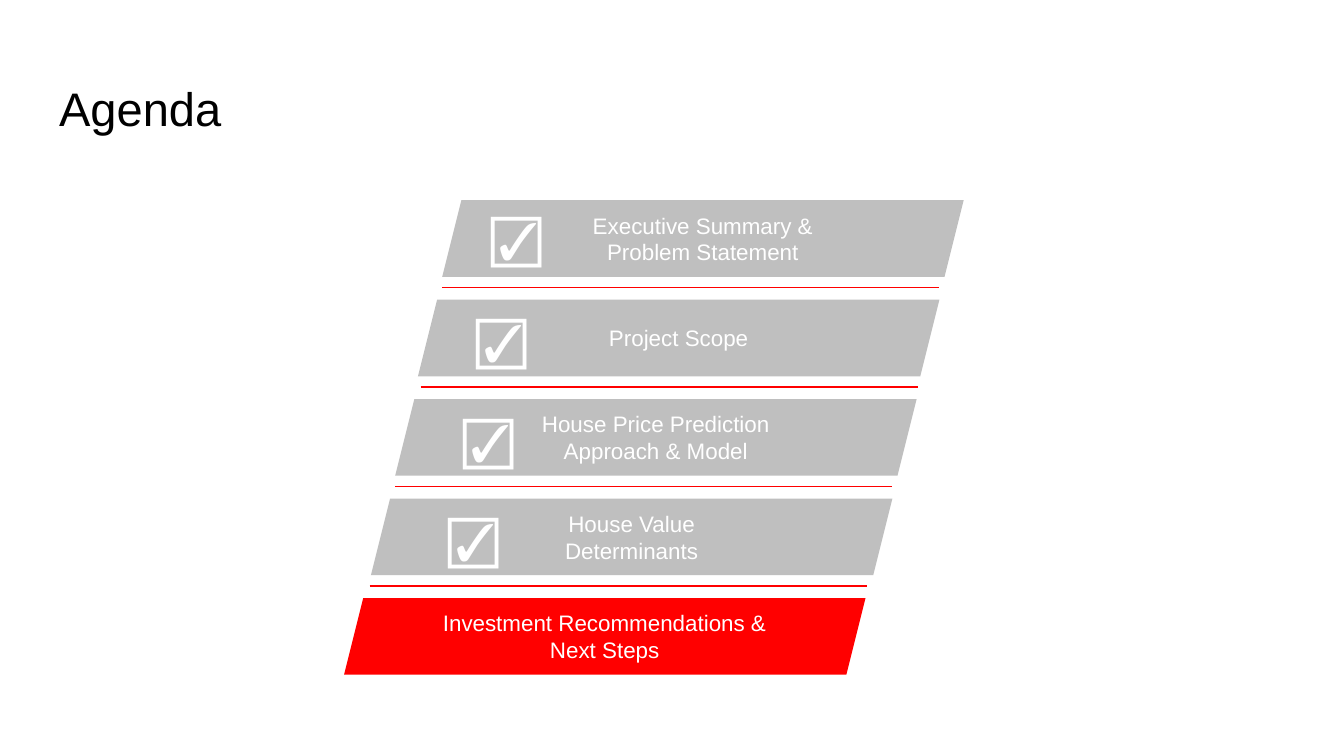
from pptx import Presentation
from pptx.dml.color import RGBColor
from pptx.enum.shapes import MSO_CONNECTOR, MSO_SHAPE
from pptx.enum.text import MSO_ANCHOR, MSO_AUTO_SIZE, PP_ALIGN
from pptx.oxml.ns import qn
from pptx.util import Inches, Pt
from lxml.etree import SubElement

BLACK = RGBColor(0x00, 0x00, 0x00)
WHITE = RGBColor(0xFF, 0xFF, 0xFF)
GREY = RGBColor(0xBF, 0xBF, 0xBF)
RED = RGBColor(0xFF, 0x00, 0x00)

FIRST_TOP, ROW_STEP = 1.49, 0.74
BAR_WIDTH, BAR_HEIGHT = 3.88, 0.57
DIVIDER_WIDTH, DIVIDER_OFFSET = 3.7, 0.65

# Topic, left of its bar, left of the divider below it, place of its check mark
AGENDA = [
    ("Executive Summary &\vProblem Statement", 3.29, 3.29, (3.55, 1.48)),
    ("Project Scope", 3.11, 3.13, (3.44, 2.24)),
    ("House Price Prediction\vApproach & Model", 2.94, 2.94, (3.34, 2.98)),
    ("House Value\vDeterminants", 2.76, 2.75, (3.23, 3.72)),
    ("Investment Recommendations &\vNext Steps", 2.56, None, None),
]


def write(frame, text, size, color, align=PP_ALIGN.LEFT):
    frame.text = text
    paragraph = frame.paragraphs[0]
    paragraph.alignment = align
    for run in paragraph.runs:
        run.font.name = "Arial"
        run.font.size = Pt(size)
        run.font.color.rgb = color


def set_margins(frame, margin):
    frame.margin_left = frame.margin_right = Inches(margin)
    frame.margin_top = frame.margin_bottom = Inches(margin)


prs = Presentation()
prs.slide_width = Inches(10)
prs.slide_height = prs.slide_width * 9 // 16
slide = prs.slides.add_slide(prs.slide_layouts[5])

title = slide.shapes.title
title.left, title.top = Inches(0.34), Inches(0.49)
title.width, title.height = Inches(9.32), Inches(0.63)
title.text_frame.auto_size = MSO_AUTO_SIZE.NONE
title.text_frame.vertical_anchor = MSO_ANCHOR.MIDDLE
set_margins(title.text_frame, 0.1)
write(title.text_frame, "Agenda", 25.2, BLACK)

for row, (topic, bar_left, divider_left, check_place) in enumerate(AGENDA):
    top = FIRST_TOP + row * ROW_STEP
    bar = slide.shapes.add_shape(
        MSO_SHAPE.PARALLELOGRAM, Inches(bar_left), Inches(top),
        Inches(BAR_WIDTH), Inches(BAR_HEIGHT))
    bar.adjustments[0] = 0.25
    bar.shadow.inherit = False
    bar.fill.solid()
    bar.fill.fore_color.rgb = GREY if check_place else RED
    bar.line.fill.background()
    bar.text_frame.vertical_anchor = MSO_ANCHOR.MIDDLE
    set_margins(bar.text_frame, 0.1)
    write(bar.text_frame, topic, 12, WHITE, PP_ALIGN.CENTER)

    if check_place is None:
        continue

    divider_y = Inches(top + DIVIDER_OFFSET)
    divider = slide.shapes.add_connector(
        MSO_CONNECTOR.STRAIGHT, Inches(divider_left), divider_y,
        Inches(divider_left + DIVIDER_WIDTH), divider_y)
    divider.line.color.rgb = RED
    divider.line.width = Pt(0.75)
    SubElement(divider._element.spPr, qn("a:effectLst"))

    check_left, check_top = check_place
    check = slide.shapes.add_textbox(
        Inches(check_left), Inches(check_top), Inches(0.5), Inches(BAR_HEIGHT))
    check.text_frame.word_wrap = True
    check.text_frame.auto_size = MSO_AUTO_SIZE.SHAPE_TO_FIT_TEXT
    write(check.text_frame, "☑", 28, WHITE)

prs.save("out.pptx")
